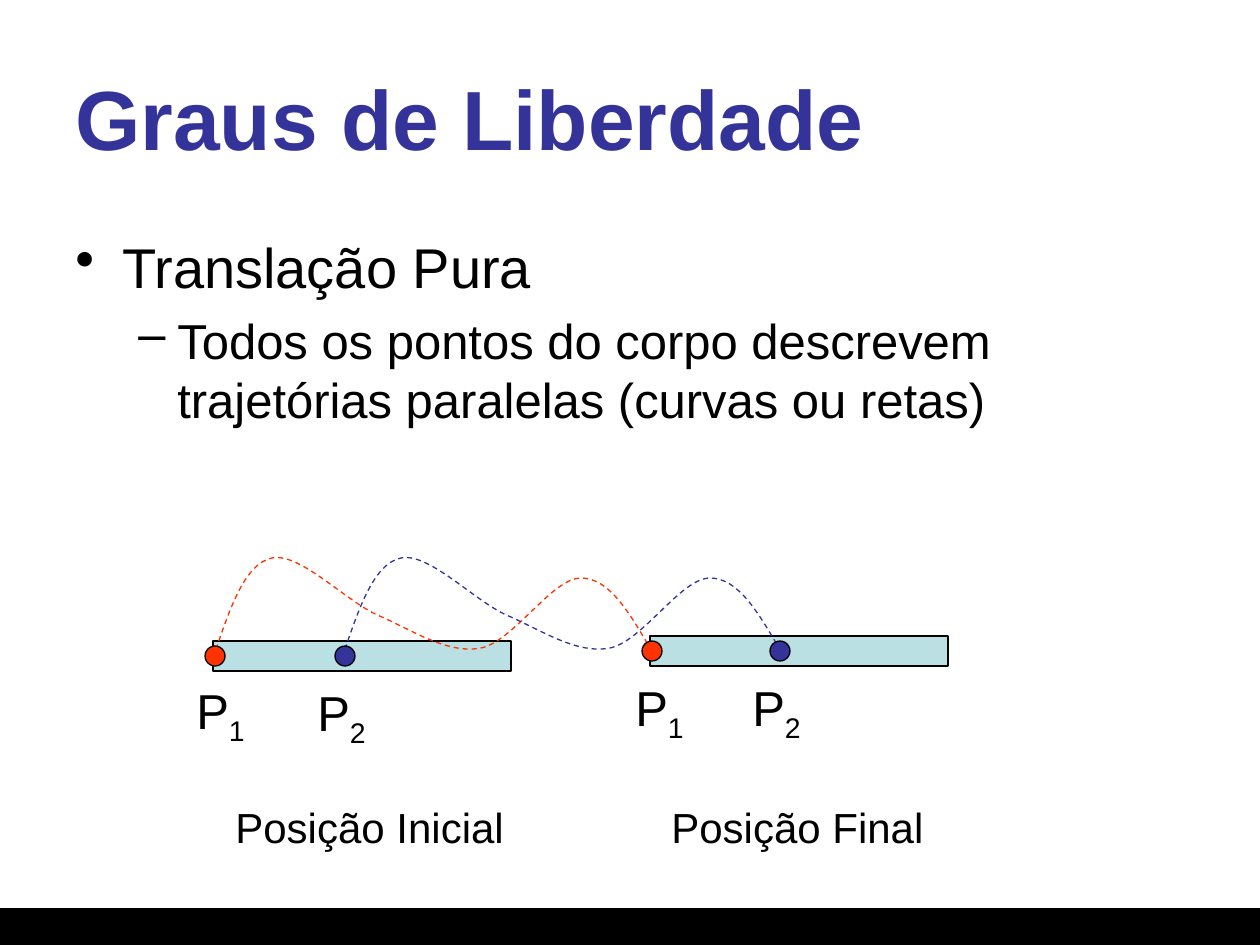
from typing import NamedTuple
from lxml.etree import SubElement
from pptx import Presentation
from pptx.dml.color import RGBColor
from pptx.enum.dml import MSO_LINE
from pptx.enum.shapes import MSO_SHAPE
from pptx.enum.text import MSO_ANCHOR
from pptx.oxml.ns import qn
from pptx.util import Pt

SCALE = 914400 / 126
BLACK, WHITE, TEAL = "000000", "FFFFFF", "BBE0E3"
RED, BLUE = "FF3300", "333399"
DOT = 20
SHIFT = 129
WAVE = [
    (213, 658),
    (229, 611), (244, 564), (272, 558),
    (301, 552), (348, 604), (382, 617),
    (417, 633), (449, 654), (481, 648),
    (514, 641), (552, 578), (581, 578),
    (609, 578), (629, 612), (650, 648),
]


class Box(NamedTuple):
    x: int
    y: int
    w: int
    h: int


class Dot(NamedTuple):
    x: int
    y: int
    color: str


class Label(NamedTuple):
    x: int
    y: int
    index: str


class Item(NamedTuple):
    text: str
    size: int
    mark: str
    left: int
    hang: int
    before: float


FIRST = Box(213, 641, 298, 30)
LAST = Box(650, 636, 298, 30)
DOTS = [
    Dot(205, 646, RED), Dot(642, 641, RED),
    Dot(335, 646, BLUE), Dot(770, 641, BLUE),
]
LABELS = [
    Label(184, 674, "1"), Label(305, 676, "2"),
    Label(623, 671, "1"), Label(740, 671, "2"),
]
ITEMS = [
    Item("Translação Pura", 32, "•", 47, 47, 0),
    Item("Todos os pontos do corpo descrevem trajetórias paralelas (curvas ou retas)",
         28, "–", 102, 39, 6.4),
]


def emu(px: float) -> int:
    return round(px * SCALE)


def rgb(color: str) -> RGBColor:
    return RGBColor.from_string(color)


def frame(slide, box: Box, anchor=MSO_ANCHOR.TOP):
    body = slide.shapes.add_textbox(*map(emu, box)).text_frame
    body.word_wrap = True
    body.vertical_anchor = anchor
    return body


def write(para, text: str, *, size: int, color: str = BLACK,
          bold: bool = False, base: int = 0) -> None:
    run = para.add_run()
    run.text = text
    font = run.font
    font.name, font.size, font.bold = "Arial", Pt(size), bold
    font.color.rgb = rgb(color)
    if base:
        run._r.get_or_add_rPr().set("baseline", str(base * 1000))


def outline(shape, color: str) -> None:
    shape.shadow.inherit = False
    shape.line.color.rgb = rgb(color)
    shape.line.width = Pt(0.75)


def solid(slide, kind, box: Box, fill: str) -> None:
    shape = slide.shapes.add_shape(kind, *map(emu, box))
    shape.fill.solid()
    shape.fill.fore_color.rgb = rgb(fill)
    outline(shape, BLACK)


def curve(slide, shift: int, color: str) -> None:
    start, *rest = [(x + shift, y) for x, y in WAVE]
    builder = slide.shapes.build_freeform(*start, scale=SCALE)
    builder.add_line_segments(rest, close=False)
    shape = builder.convert_to_shape()
    shape.fill.background()
    outline(shape, color)
    shape.line.dash_style = MSO_LINE.DASH
    lines = list(shape._element.iter(qn("a:lnTo")))
    route = lines[0].getparent()
    for i in range(0, len(lines), 3):
        bend = SubElement(route, qn("a:cubicBezTo"))
        for line in lines[i:i + 3]:
            bend.append(line[0])
            route.remove(line)


def bullet(para, item: Item) -> None:
    props = para._p.get_or_add_pPr()
    props.set("marL", str(emu(item.left)))
    props.set("indent", str(-emu(item.hang)))
    SubElement(props, qn("a:buChar")).set("char", item.mark)
    para.space_before = Pt(item.before)
    write(para, item.text, size=item.size)


def tab(para, pos: int) -> None:
    tabs = SubElement(para._p.get_or_add_pPr(), qn("a:tabLst"))
    stop = SubElement(tabs, qn("a:tab"))
    stop.set("pos", str(emu(pos)))
    stop.set("algn", "l")


def main() -> None:
    deck = Presentation()
    deck.slide_width, deck.slide_height = emu(1260), emu(945)
    slide = deck.slides.add_slide(deck.slide_layouts[6])
    slide.background.fill.solid()
    slide.background.fill.fore_color.rgb = rgb(WHITE)

    solid(slide, MSO_SHAPE.RECTANGLE, Box(0, 909, 1260, 36), BLACK)
    solid(slide, MSO_SHAPE.RECTANGLE, LAST, TEAL)

    title = frame(slide, Box(63, 38, 1134, 157), MSO_ANCHOR.MIDDLE)
    write(title.paragraphs[0], "Graus de Liberdade", size=48, color=BLUE, bold=True)

    body = frame(slide, Box(63, 226, 1134, 618))
    for i, item in enumerate(ITEMS):
        bullet(body.add_paragraph() if i else body.paragraphs[0], item)

    solid(slide, MSO_SHAPE.RECTANGLE, FIRST, TEAL)
    curve(slide, 0, RED)
    curve(slide, SHIFT, BLUE)
    for dot in DOTS:
        solid(slide, MSO_SHAPE.OVAL, Box(dot.x, dot.y, DOT, DOT), dot.color)

    for label in LABELS:
        para = frame(slide, Box(label.x, label.y, 77, 72)).paragraphs[0]
        write(para, "P", size=28)
        write(para, label.index, size=28, base=-25)

    para = frame(slide, Box(223, 795, 713, 63)).paragraphs[0]
    tab(para, 436)
    write(para, "Posição Inicial\tPosição Final", size=24)

    deck.save("out.pptx")


if __name__ == "__main__":
    main()
